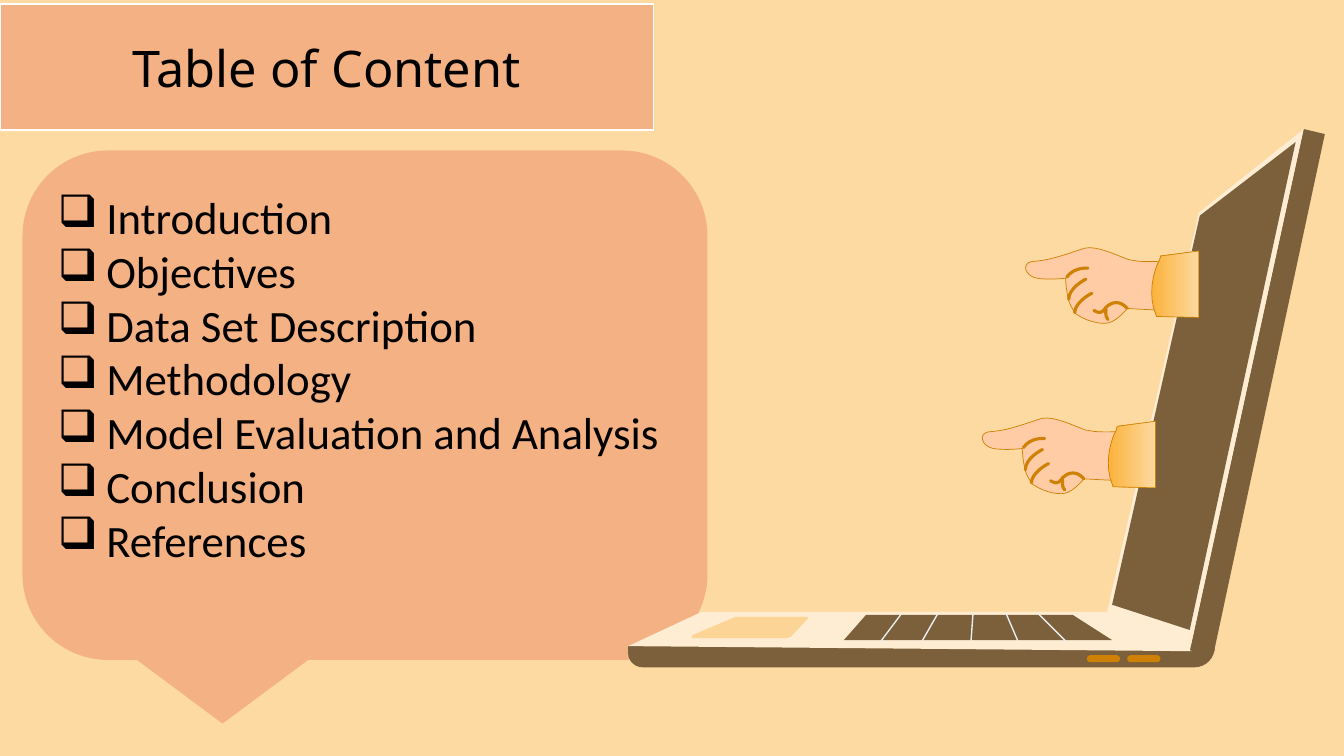
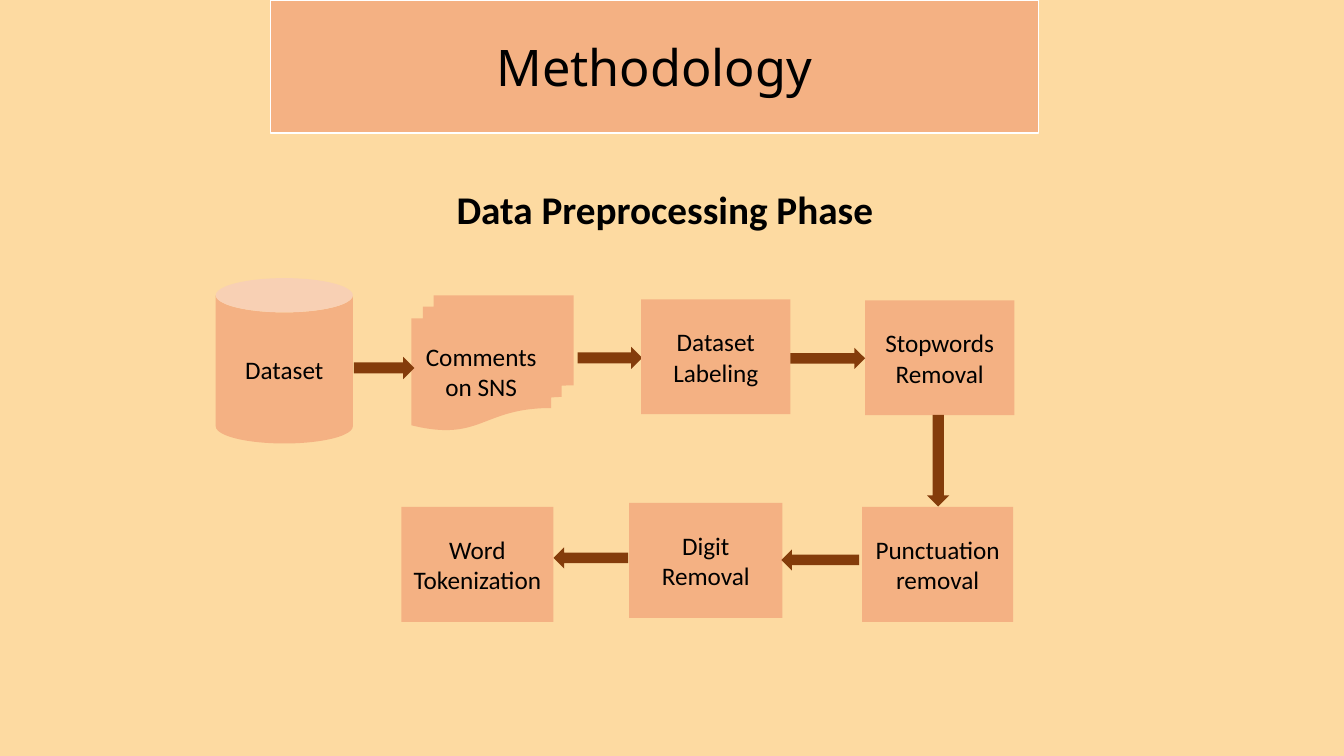
from pptx import Presentation
from pptx.dml.color import RGBColor as Rgb
from pptx.enum.shapes import MSO_CONNECTOR as Link, MSO_SHAPE as Kind
from pptx.enum.text import MSO_ANCHOR as Anchor, PP_ALIGN as Align
from pptx.oxml.ns import qn
from pptx.util import Pt
from lxml.etree import SubElement as Sub

PX = 9144


class Theme:
    sand = Rgb.from_string("FDDAA1")
    peach = Rgb.from_string("F4B183")
    white = Rgb.from_string("FFFFFF")
    ink = Rgb.from_string("000000")
    rust = Rgb.from_string("843C0B")
    brown = Rgb.from_string("7B603B")
    cream = Rgb.from_string("FEEDD2")
    pad = Rgb.from_string("FCD496")
    gap = Rgb.from_string("EAEEF1")
    amber = Rgb.from_string("CE8104")
    gold = Rgb.from_string("FBB23B")
    skin = Rgb.from_string("FFCCA5")
    body = "Calibri"
    head = "Noto Sans"
    title, item, phase, step = 36, 32, 28, 18
    rim, thin, crease = 1, 0.5, 2.25


def write(shape, text, size=Theme.step, font=Theme.body, bold=False,
          align=Align.CENTER, bullet=None, hang=0):
    frame = shape.text_frame
    for n, line in enumerate(text.split("\n")):
        para = frame.add_paragraph() if n else frame.paragraphs[0]
        para.alignment = align
        if bullet:
            props = para._p.get_or_add_pPr()
            props.set("marL", str(hang * PX))
            props.set("indent", str(-hang * PX))
            Sub(props, qn("a:buChar")).set("char", bullet)
        run = para.add_run()
        run.text = line
        run.font.size = Pt(size)
        run.font.name = font
        run.font.bold = bold
        run.font.color.rgb = Theme.ink


def trace(page, path, fill=None, line=None, width=Theme.thin, dx=0, dy=0):
    dots = [path[0]]
    for part in path[1:]:
        if len(part) == 2:
            dots.append(part)
            continue
        ax, ay = dots[-1]
        bx, by, cx, cy, ex, ey = part
        for n in range(1, 9):
            t = n / 8
            u = 1 - t
            k = (u ** 3, 3 * u * u * t, 3 * u * t * t, t ** 3)
            dots.append((k[0] * ax + k[1] * bx + k[2] * cx + k[3] * ex,
                         k[0] * ay + k[1] * by + k[2] * cy + k[3] * ey))
    dots = [((x + dx) * PX, (y + dy) * PX) for x, y in dots]
    pen = page.shapes.build_freeform(*dots[0])
    pen.add_line_segments(dots[1:], close=fill is not None)
    shape = pen.convert_to_shape()
    shape.shadow.inherit = False
    if fill is None:
        shape.fill.background()
    else:
        shape.fill.solid()
        shape.fill.fore_color.rgb = fill
    if line is None:
        shape.line.fill.background()
    else:
        shape.line.color.rgb = line
        shape.line.width = Pt(width)
    return shape


deck = Presentation()
deck.slide_width, deck.slide_height = 1333 * PX, 750 * PX
back = deck.slide_master.background.fill
back.solid()
back.fore_color.rgb = Theme.sand

pages = []
for text, at in (("Table of Content", (0, 4, 648, 125)),
                 ("Methodology", (268, 0, 762, 132))):
    page = deck.slides.add_slide(deck.slide_layouts[6])
    band = page.shapes.add_shape(Kind.RECTANGLE, *(v * PX for v in at))
    band.shadow.inherit = False
    band.fill.solid()
    band.fill.fore_color.rgb = Theme.peach
    band.line.color.rgb = Theme.white
    band.line.width = Pt(Theme.rim)
    write(band, text, size=Theme.title, font=Theme.head)
    pages.append(page)
index, method = pages

items = ("Introduction", "Objectives", "Data Set Description", "Methodology",
         "Model Evaluation and Analysis", "Conclusion", "References")
bubble = index.shapes.add_shape(Kind.ROUNDED_RECTANGULAR_CALLOUT,
                                23 * PX, 150 * PX, 678 * PX, 504 * PX)
bubble.shadow.inherit = False
bubble.fill.solid()
bubble.fill.fore_color.rgb = Theme.peach
bubble.line.color.rgb = Theme.peach
bubble.line.width = Pt(Theme.rim)
bubble.text_frame.vertical_anchor = Anchor.MIDDLE
bubble.text_frame.margin_bottom = 59 * PX
write(bubble, "\n".join(items), size=Theme.item, align=Align.LEFT,
      bullet="❑", hang=48)

laptop = (
    (Theme.brown, [(637, 662), (1185, 662), (1196, 662, 1205, 653, 1205, 641),
                   (623, 641), (623, 648), (623, 656, 630, 662, 637, 662)]),
    (Theme.brown, [(1180, 646), (1204, 647), (1314, 133), (1293, 128)]),
    (Theme.cream, [(1293, 128), (1189, 211), (1098, 607), (1180, 646)]),
    (Theme.brown, [(1285, 141), (1190, 214), (1103, 600), (1180, 625)]),
    (Theme.cream, [(623, 641), (696, 607), (1098, 607), (1182, 646)]),
    (Theme.brown, [(1103, 635), (837, 635), (859, 610), (1064, 610)]),
    (Theme.pad, [(800, 612), (731, 612), (729, 612, 728, 612, 727, 613),
                 (687, 630), (685, 631, 686, 633, 687, 633), (779, 633),
                 (782, 633, 785, 632, 787, 629), (801, 614),
                 (802, 614, 801, 612, 800, 612)]),
)
for fill, path in laptop:
    trace(index, path, fill=fill)

for top, low in ((1030, 1058), (998, 1010), (965, 963), (930, 914), (894, 873)):
    seam = index.shapes.add_connector(Link.STRAIGHT, top * PX, 609 * PX,
                                      low * PX, 637 * PX)
    seam.line.color.rgb = Theme.gap
    seam.line.width = Pt(Theme.rim)
    Sub(seam._element.spPr, qn("a:effectLst"))

for left in (1118, 1078):
    pill = index.shapes.add_shape(Kind.ROUNDED_RECTANGLE, left * PX, 650 * PX,
                                  33 * PX, 7 * PX)
    pill.adjustments[0] = 0.5
    pill.shadow.inherit = False
    pill.fill.solid()
    pill.fill.fore_color.rgb = Theme.amber
    pill.line.fill.background()

hand = [(1180, 255), (1180, 309), (1136, 307), (1118, 306),
        (1115, 310, 1109, 316, 1103, 319), (1096, 323, 1080, 320, 1068, 312),
        (1066, 311, 1061, 302, 1060, 298), (1057, 286, 1057, 276, 1057, 276),
        (1057, 276, 1030, 279, 1023, 274), (1016, 270, 1013, 259, 1028, 259),
        (1044, 258, 1066, 249, 1077, 246), (1089, 244, 1107, 253, 1118, 257),
        (1120, 258, 1123, 258, 1128, 259), (1139, 260, 1158, 260, 1180, 255)]
folds = (
    [(1085, 308), (1090, 311, 1093, 311, 1097, 305),
     (1103, 299, 1111, 298, 1118, 306)],
    [(1097, 307), (1096, 313, 1098, 316, 1099, 317)],
    [(1066, 310), (1066, 301, 1080, 292, 1083, 291)],
    [(1060, 297), (1060, 286, 1075, 278, 1077, 277)],
    [(1058, 275), (1065, 265, 1078, 266, 1079, 266)],
)
cuff = [(1189, 249), (1189, 315), (1147, 314),
        (1146, 311, 1145, 308, 1144, 305), (1139, 285, 1146, 265, 1150, 258),
        (1151, 255, 1151, 254, 1151, 254)]
for dx, dy in ((0, 0), (-43, 169)):
    trace(index, hand, fill=Theme.skin, line=Theme.amber, dx=dx, dy=dy)
    for fold in folds:
        mark = trace(index, fold, line=Theme.amber, width=Theme.crease,
                     dx=dx, dy=dy)
        mark._element.spPr.find(qn("a:ln")).set("cap", "rnd")
    sleeve = trace(index, cuff, fill=Theme.gold, line=Theme.amber, dx=dx, dy=dy)
    sleeve.fill.gradient()
    sleeve.fill.gradient_angle = 0
    for stop, color, spot in zip(sleeve.fill.gradient_stops,
                                 (Theme.gold, Theme.sand), (0, 1)):
        stop.color.rgb = color
        stop.position = spot

phase = method.shapes.add_textbox(443 * PX, 179 * PX, 438 * PX, 57 * PX)
phase.text_frame.word_wrap = False
write(phase, "Data Preprocessing Phase", size=Theme.phase, bold=True,
      align=Align.LEFT)

box, arrow = Kind.RECTANGLE, Kind.RIGHT_ARROW
flow = (
    (Kind.CAN, (214, 276, 136, 164), 0, "Dataset"),
    (Kind.FLOWCHART_MULTIDOCUMENT, (408, 293, 161, 134), 0, "Comments on SNS"),
    (box, (858, 298, 148, 114), 0, "Stopwords Removal"),
    (box, (855, 503, 150, 114), 0, "Punctuation removal"),
    (box, (398, 503, 151, 114), 0, "Word Tokenization"),
    (box, (624, 499, 152, 114), 0, "Digit Removal"),
    (arrow, (351, 354, 60, 22), 0, ""),
    (arrow, (573, 344, 64, 22), 0, ""),
    (box, (636, 297, 148, 114), 0, "Dataset Labeling"),
    (arrow, (784, 345, 74, 21), 0, ""),
    (arrow, (885, 446, 91, 22), 90, ""),
    (arrow, (775, 545, 77, 21), 180, ""),
    (arrow, (549, 543, 74, 21), 180, ""),
)
for kind, at, turn, text in flow:
    node = method.shapes.add_shape(kind, *(v * PX for v in at))
    node.rotation = turn
    node.shadow.inherit = False
    node.fill.solid()
    node.fill.fore_color.rgb = Theme.peach if text else Theme.rust
    node.line.fill.background()
    if text:
        write(node, text)

deck.save("out.pptx")
